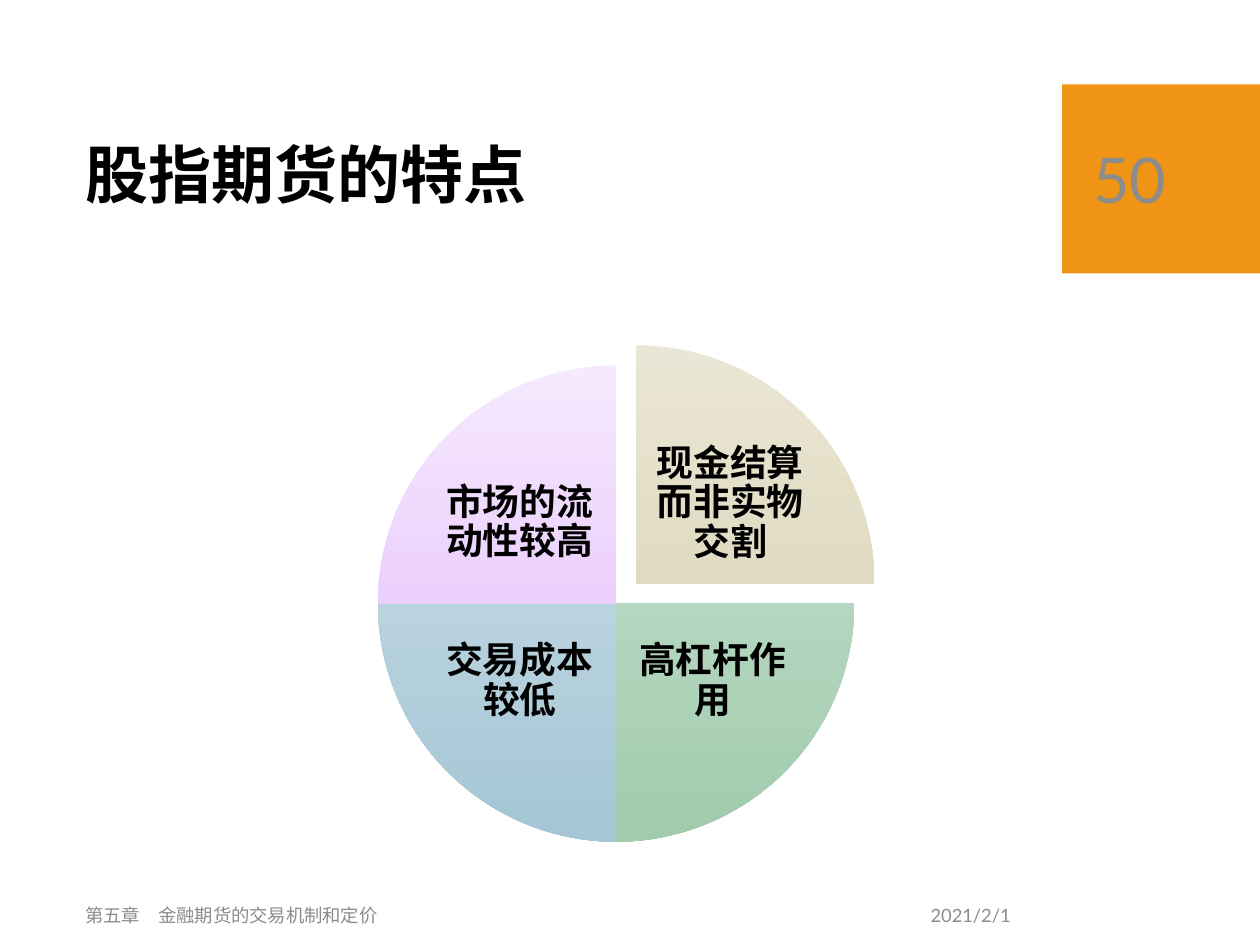
from pptx import Presentation
from pptx.dml.color import RGBColor
from pptx.enum.shapes import MSO_SHAPE
from pptx.enum.text import MSO_ANCHOR, PP_ALIGN
from pptx.util import Inches, Pt

COLORS = {
    "orange": "F09415", "black": "000000", "gray": "8C8C8C",
    "sand": ("EAE6D5", "D6CFAA"), "green": ("CBE2D2", "A0CBAD"),
    "blue": ("D0E1E9", "A4C6D5"), "violet": ("F6E9FE", "E0B2FB"),
}


def style(frame, text, size, color, align=PP_ALIGN.LEFT, bold=False):
    frame.text = text
    frame.word_wrap = True
    frame.vertical_anchor = MSO_ANCHOR.MIDDLE
    para = frame.paragraphs[0]
    para.alignment = align
    if bold:
        para.line_spacing = 0.9
    font = para.runs[0].font
    font.name, font.size, font.bold = "Lato", Pt(size), bold
    font.color.rgb = RGBColor.from_string(COLORS[color])


def add_text(box, *args, **kwargs):
    frame = slide.shapes.add_textbox(*map(Inches, box)).text_frame
    style(frame, *args, **kwargs)
    return frame


prs = Presentation()
prs.slide_width, prs.slide_height = Inches(10), Inches(7.5)
slide = prs.slides.add_slide(prs.slide_layouts[5])

# Orange block behind the page number
block = slide.shapes.add_shape(
    MSO_SHAPE.RECTANGLE, Inches(8.43), Inches(0.67), Inches(1.57), Inches(1.5))
block.shadow.inherit = False
block.fill.solid()
block.fill.fore_color.rgb = RGBColor.from_string(COLORS["orange"])
block.line.fill.background()

# Title
title = slide.shapes.title
title.left, title.top = Inches(0.58), Inches(0.82)
title.width, title.height = Inches(7.54), Inches(1.18)
style(title.text_frame, "股指期货的特点", 36, "black", bold=True)

# Four quarter wedges, clockwise from the top right; the first is pulled out
SIZE, LEFT, TOP, PULL, TURN = 3.78, 3, 2.9, 0.16, 54
wedges = [
    ("现金结算而非实物交割", "sand", 5.1, 3.44),
    ("高杠杆作用", "green", 4.96, 4.85),
    ("交易成本较低", "blue", 3.43, 4.85),
    ("市场的流动性较高", "violet", 3.43, 3.59),
]
for i, (text, color, x, y) in enumerate(wedges):
    pull = PULL if i == 0 else 0
    pie = slide.shapes.add_shape(
        MSO_SHAPE.PIE, Inches(LEFT + pull), Inches(TOP - pull),
        Inches(SIZE), Inches(SIZE))
    pie.adjustments[0] = (i + 3) % 4 * TURN
    pie.adjustments[1] = i * TURN
    pie.shadow.inherit = False
    pie.line.fill.background()
    pie.fill.gradient()
    pie.fill.gradient_angle = 270
    for stop, shade, place in zip(pie.fill.gradient_stops, COLORS[color], (0, 1)):
        stop.color.rgb = RGBColor.from_string(shade)
        stop.position = place
    frame = add_text((x, y, 1.39, 1.12), text, 21, "black",
                     PP_ALIGN.CENTER, bold=True)
    frame.margin_left = frame.margin_right = Inches(0.03)
    frame.margin_top = frame.margin_bottom = Inches(0.03)

# Footer, page number and date
add_text((0.58, 7.06, 5.29, 0.4), "第五章　金融期货的交易机制和定价", 10.5, "gray")
add_text((8.58, 0.82, 1.27, 1.19), "50", 36, "gray")
add_text((5.87, 7.06, 2.25, 0.4), "2021/2/1", 10.5, "gray", PP_ALIGN.RIGHT)

prs.save("out.pptx")
